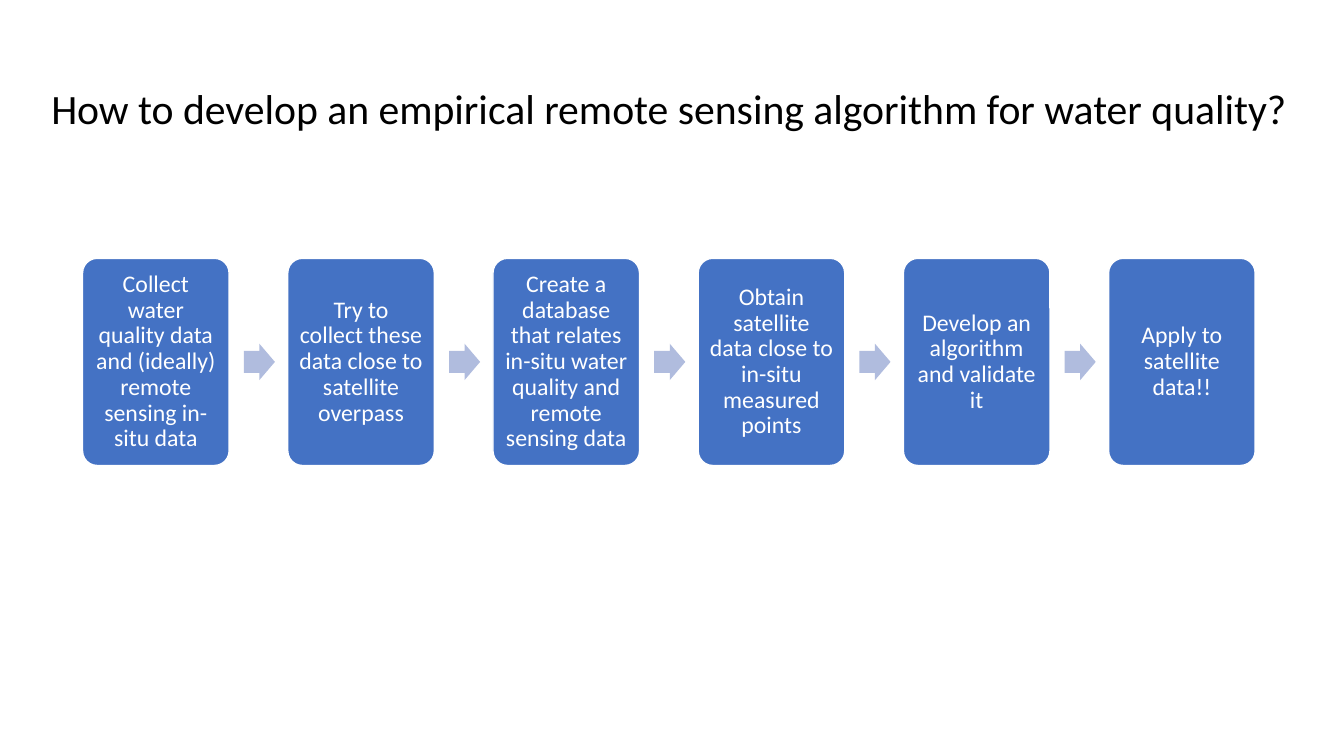
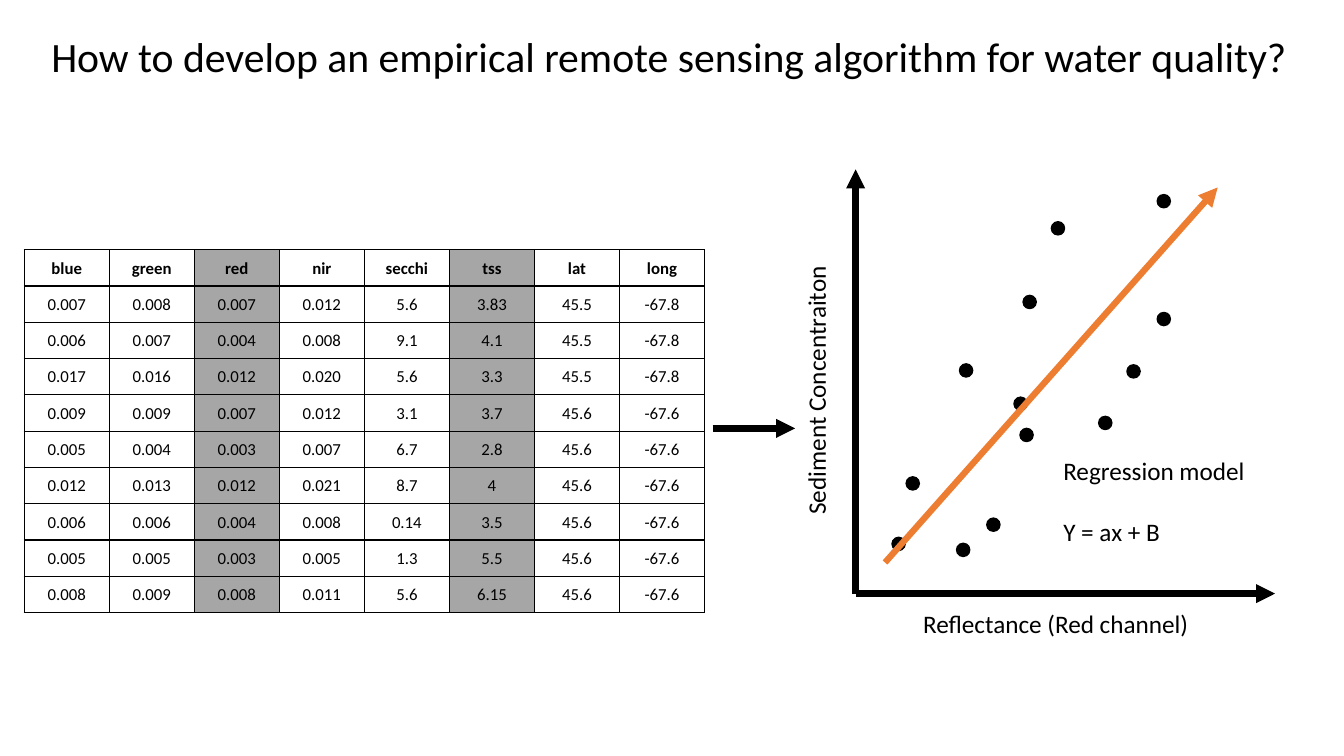
from dataclasses import dataclass

from lxml.etree import SubElement
from pptx import Presentation
from pptx.dml.color import RGBColor
from pptx.enum.shapes import MSO_CONNECTOR, MSO_SHAPE
from pptx.enum.text import MSO_ANCHOR, MSO_AUTO_SIZE, PP_ALIGN
from pptx.oxml.ns import qn
from pptx.util import Pt


@dataclass(frozen=True)
class Theme:
    font: str = "Calibri"
    black: str = "000000"
    white: str = "FFFFFF"
    step: str = "4472C4"
    step_arrow: str = "B0BCDE"
    trend: str = "ED7D31"
    highlight: str = "A6A6A6"
    title_size: float = 29.8
    step_size: float = 17
    label_size: float = 18
    table_size: float = 12
    thin: float = 1
    thick: float = 4.5


THEME = Theme()
TITLE = "How to develop an empirical remote sensing algorithm for water quality?"
STEPS = (
    "Collect water quality data and (ideally) remote sensing in-situ data",
    "Try to collect these data close to satellite overpass",
    "Create a database that relates in-situ water quality and remote sensing data",
    "Obtain satellite data close to in-situ measured points",
    "Develop an algorithm and validate it",
    "Apply to satellite data!!",
)
MEASUREMENTS = (
    "blue green red nir secchi tss lat long",
    "0.007 0.008 0.007 0.012 5.6 3.83 45.5 -67.8",
    "0.006 0.007 0.004 0.008 9.1 4.1 45.5 -67.8",
    "0.017 0.016 0.012 0.020 5.6 3.3 45.5 -67.8",
    "0.009 0.009 0.007 0.012 3.1 3.7 45.6 -67.6",
    "0.005 0.004 0.003 0.007 6.7 2.8 45.6 -67.6",
    "0.012 0.013 0.012 0.021 8.7 4 45.6 -67.6",
    "0.006 0.006 0.004 0.008 0.14 3.5 45.6 -67.6",
    "0.005 0.005 0.003 0.005 1.3 5.5 45.6 -67.6",
    "0.008 0.009 0.008 0.011 5.6 6.15 45.6 -67.6",
)
HIGHLIGHTED = ("red", "tss")
DOTS = (
    (637.2, 383.8), (683.3, 388.1), (685.4, 259.9), (647.3, 340.6),
    (704.9, 370.1), (728.6, 306), (805, 260.6), (784.8, 297.4),
    (826.6, 223.2), (730.8, 211), (724.3, 283.7), (826.6, 139),
    (751, 158.4),
)


def rgb(color):
    return RGBColor.from_string(color)


def add_span(para, text, size, color=THEME.black, bold=False):
    span = para.add_run()
    span.text = text
    span.font.name = THEME.font
    span.font.size = Pt(size)
    span.font.bold = bold
    span.font.color.rgb = rgb(color)


def add_page(deck, title_top):
    page = deck.slides.add_slide(deck.slide_layouts[5])
    title = page.shapes.title
    title.left, title.top = Pt(19.4), Pt(title_top)
    title.width, title.height = Pt(917.3), Pt(43.2)
    frame = title.text_frame
    frame.auto_size = MSO_AUTO_SIZE.NONE
    frame.vertical_anchor = MSO_ANCHOR.BOTTOM
    para = frame.paragraphs[0]
    para.alignment = PP_ALIGN.CENTER
    add_span(para, TITLE, THEME.title_size)
    return page


def add_solid(page, kind, left, top, width, height, fill, line=None):
    shape = page.shapes.add_shape(kind, Pt(left), Pt(top), Pt(width), Pt(height))
    shape.shadow.inherit = False
    shape.fill.solid()
    shape.fill.fore_color.rgb = rgb(fill)
    if line:
        shape.line.color.rgb = rgb(line)
        shape.line.width = Pt(THEME.thin)
    else:
        shape.line.fill.background()
    return shape


def add_step(page, text, left, top, width, height):
    box = add_solid(page, MSO_SHAPE.ROUNDED_RECTANGLE, left, top, width, height,
                    THEME.step, THEME.white)
    box.adjustments[0] = 0.1
    frame = box.text_frame
    frame.word_wrap = True
    frame.vertical_anchor = MSO_ANCHOR.MIDDLE
    frame.margin_left = frame.margin_right = Pt(5.1)
    frame.margin_top = frame.margin_bottom = Pt(5.1)
    para = frame.paragraphs[0]
    para.alignment = PP_ALIGN.CENTER
    para.line_spacing = 0.9
    add_span(para, text, THEME.step_size, THEME.white)


def add_process(page, steps):
    left, top, width, height = 59, 184.5, 104.7, 148
    pitch = 1.4 * width
    arrow_width, arrow_height = 22.2, 26
    for index, text in enumerate(steps):
        step_left = left + index * pitch
        add_step(page, text, step_left, top, width, height)
        if index < len(steps) - 1:
            arrow = add_solid(page, MSO_SHAPE.RIGHT_ARROW, step_left + 1.1 * width,
                              top + (height - arrow_height) / 2,
                              arrow_width, arrow_height, THEME.step_arrow)
            arrow.adjustments[0] = 0.6
            arrow.adjustments[1] = 0.5


def add_arrow(page, start, end, color=THEME.black):
    arrow = page.shapes.add_connector(
        MSO_CONNECTOR.STRAIGHT, *(Pt(value) for value in (*start, *end)))
    arrow.line.color.rgb = rgb(color)
    arrow.line.width = Pt(THEME.thick)
    SubElement(arrow.line._get_or_add_ln(), qn("a:tailEnd"), type="triangle")
    SubElement(arrow._element.spPr, qn("a:effectLst"))


def add_label(page, lines, left, top, width, height, rotation=0):
    box = page.shapes.add_textbox(Pt(left), Pt(top), Pt(width), Pt(height))
    box.rotation = rotation
    frame = box.text_frame
    frame.word_wrap = False
    frame.auto_size = MSO_AUTO_SIZE.SHAPE_TO_FIT_TEXT
    for index, text in enumerate(lines):
        para = frame.add_paragraph() if index else frame.paragraphs[0]
        if index:
            para.space_before = Pt(22)
        add_span(para, text, THEME.label_size)


def add_borders(cell):
    properties = cell._tc.get_or_add_tcPr()
    for side in ("lnL", "lnR", "lnT", "lnB"):
        border = SubElement(properties, qn(f"a:{side}"), w=str(Pt(THEME.thin)))
        fill = SubElement(border, qn("a:solidFill"))
        SubElement(fill, qn("a:srgbClr"), val=THEME.black)


def format_cell(cell, text, is_header, is_highlighted):
    add_borders(cell)
    cell.fill.solid()
    cell.fill.fore_color.rgb = rgb(THEME.highlight if is_highlighted else THEME.white)
    cell.vertical_anchor = MSO_ANCHOR.MIDDLE
    cell.margin_left = cell.margin_right = cell.margin_top = Pt(0.7)
    cell.margin_bottom = Pt(0)
    para = cell.text_frame.paragraphs[0]
    para.alignment = PP_ALIGN.CENTER
    add_span(para, text, THEME.table_size, bold=is_header)


def add_measurements(page, lines):
    rows = [line.split() for line in lines]
    header = rows[0]
    column_width, row_height = 60.75, 25.92
    table = page.shapes.add_table(
        len(rows), len(header), Pt(17.3), Pt(178.4),
        Pt(column_width * len(header)), Pt(row_height * len(rows))).table
    for column in table.columns:
        column.width = Pt(column_width)
    for row_index, row in enumerate(rows):
        table.rows[row_index].height = Pt(row_height)
        for column_index, text in enumerate(row):
            format_cell(table.cell(row_index, column_index), text,
                        row_index == 0, header[column_index] in HIGHLIGHTED)


def add_scatter(page):
    origin = (611.2, 424)
    add_arrow(page, origin, (910.8, origin[1]))
    add_arrow(page, origin, (origin[0], 121))
    add_label(page, ["Reflectance (Red channel)"], 652.3, 431.3, 206.6, 28.8)
    add_label(page, ["Sediment Concentraiton"], 486, 263.5, 193.7, 28.8, 270)
    for left, top in DOTS:
        add_solid(page, MSO_SHAPE.OVAL, left, top, 9.4, 9.4, THEME.black, THEME.black)
    add_arrow(page, (632.2, 401.8), (869.8, 133.9), THEME.trend)
    add_label(page, ["Regression model", "Y = ax + B"], 752.4, 321.8, 145.4, 72.7)


def main():
    deck = Presentation()
    deck.slide_width, deck.slide_height = Pt(960), Pt(540)
    process_page = add_page(deck, 55.4)
    add_process(process_page, STEPS)
    regression_page = add_page(deck, 18)
    add_scatter(regression_page)
    add_arrow(regression_page, (509, 306), (568, 306))
    add_measurements(regression_page, MEASUREMENTS)
    deck.save("out.pptx")


if __name__ == "__main__":
    main()
